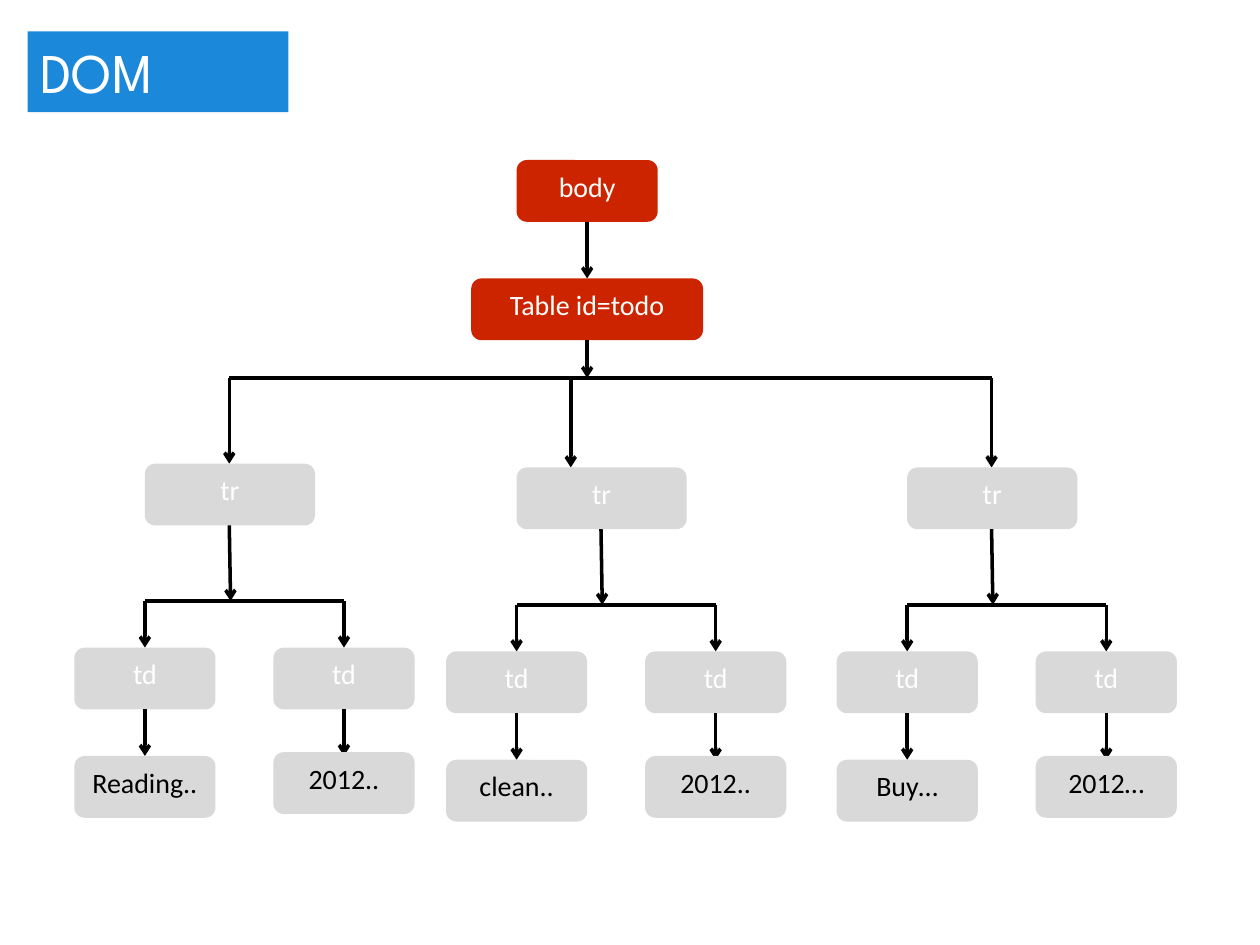
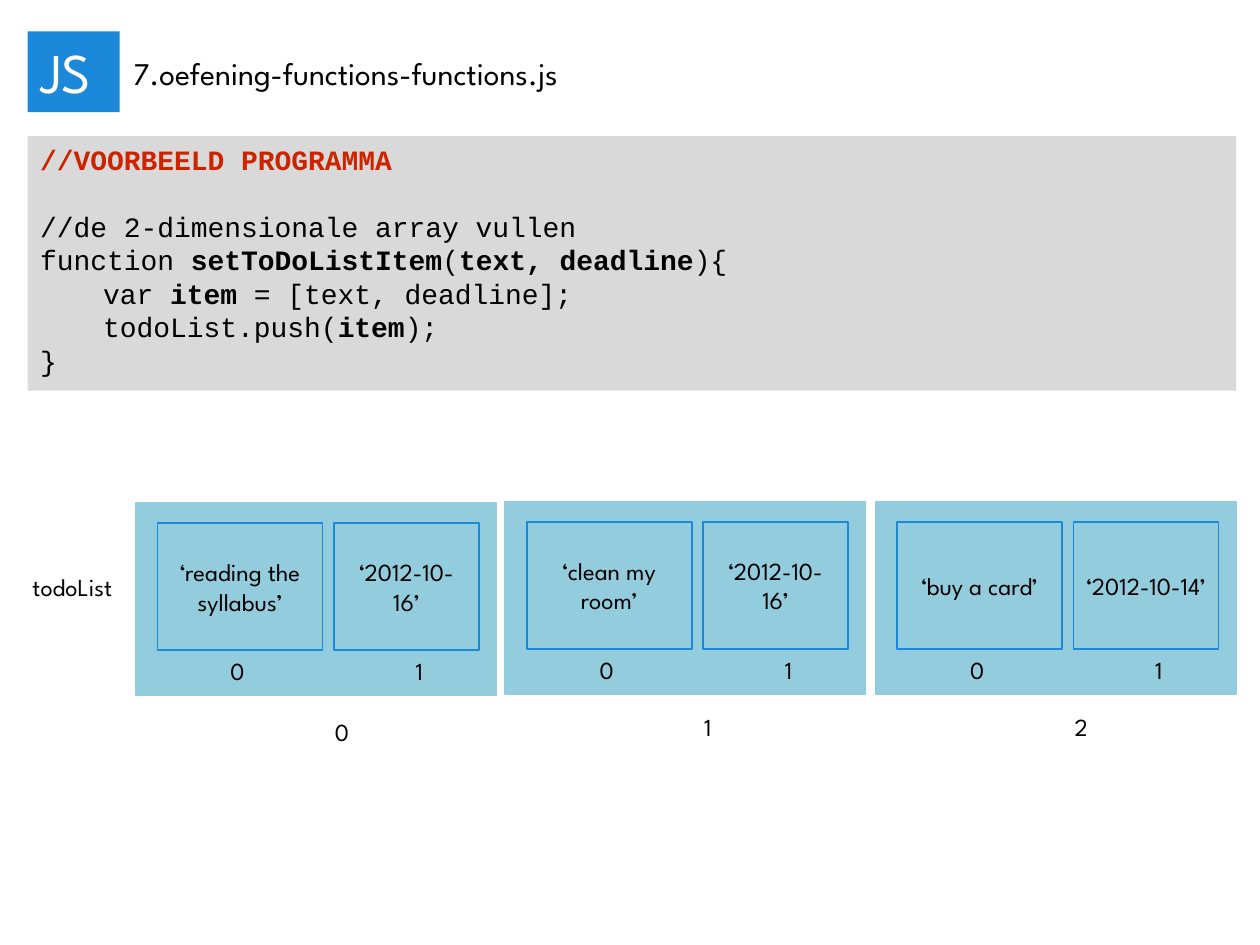
from dataclasses import dataclass

from lxml.etree import SubElement
from pptx import Presentation
from pptx.dml.color import RGBColor
from pptx.enum.shapes import MSO_CONNECTOR, MSO_SHAPE
from pptx.enum.text import MSO_ANCHOR, MSO_AUTO_SIZE, PP_ALIGN
from pptx.oxml.ns import qn
from pptx.shapes.autoshape import Shape
from pptx.slide import Slide
from pptx.util import Emu, Pt

RECT = MSO_SHAPE.RECTANGLE
ROUNDED = MSO_SHAPE.ROUNDED_RECTANGLE
STRAIGHT = MSO_CONNECTOR.STRAIGHT
TOP = MSO_ANCHOR.TOP
MIDDLE = MSO_ANCHOR.MIDDLE
LEFT = PP_ALIGN.LEFT
CENTER = PP_ALIGN.CENTER
GROW = MSO_AUTO_SIZE.SHAPE_TO_FIT_TEXT

EMU_PER_PX = 9144
HEADING_FONT = "League Spartan"
NODE_FONT = "Calibri"
CODE_FONT = "Courier New"
COLORS = {
    "accent": "1C88DA",
    "red": "CD2400",
    "gray": "D9D9D9",
    "aqua": "93CDDD",
    "white": "FFFFFF",
    "black": "000000",
}
NODE_HEIGHT = 49
CELL_WIDTH = 112
ROW_WIDTH = 135
TRUNK_Y = 300


@dataclass(frozen=True)
class TableRow:
    left: int
    top: int
    entry_x: int
    task: str
    deadline: str


@dataclass(frozen=True)
class TodoItem:
    top: int
    index_top: int
    task: str
    deadline: str


@dataclass(frozen=True)
class CodeLine:
    text: str
    color: str = "black"
    indent: int = 0
    space_before: int = 0


TABLE_ROWS = (
    TableRow(115, 368, 182, "Reading..", "2012.."),
    TableRow(410, 371, 453, "clean..", "2012.."),
    TableRow(720, 371, 787, "Buy…", "2012…"),
)
TODO_ITEMS = (
    TodoItem(399, 564, "‘reading the syllabus’", "‘2012-10-16’"),
    TodoItem(398, 560, "‘clean my room’", "‘2012-10-16’"),
    TodoItem(398, 560, "‘buy a card’", "‘2012-10-14’"),
)
CODE_LINES = (
    CodeLine("**//VOORBEELD PROGRAMMA**", color="red"),
    CodeLine("//de 2-dimensionale array vullen", space_before=19),
    CodeLine("function **setToDoListItem**(**text, deadline**){"),
    CodeLine("var **item** = [text, deadline];", indent=50),
    CodeLine("todoList.push(**item**);", indent=50),
    CodeLine("}"),
)


def px(length: int) -> Emu:
    return Emu(length * EMU_PER_PX)


def rgb(color: str) -> RGBColor:
    return RGBColor.from_string(COLORS[color])


def write(shape: Shape, text: str, *, size: int, font: str = HEADING_FONT,
          color: str = "black", align: PP_ALIGN = LEFT,
          anchor: MSO_ANCHOR = TOP, wrap: bool = True,
          indent: int = 0, space_before: int = 0) -> None:
    frame = shape.text_frame
    frame.word_wrap = wrap
    frame.vertical_anchor = anchor
    paragraph = frame.paragraphs[0]
    if paragraph.runs:
        paragraph = frame.add_paragraph()
    paragraph.alignment = align
    paragraph.space_before = Pt(space_before)
    if indent:
        paragraph._p.get_or_add_pPr().set("marL", str(px(indent)))
    for position, part in enumerate(text.split("**")):
        if part:
            run = paragraph.add_run()
            run.text = part
            run.font.name = font
            run.font.size = Pt(size)
            run.font.bold = position % 2 == 1
            run.font.color.rgb = rgb(color)


def draw_box(slide: Slide, left: int, top: int, width: int, height: int, *,
             fill: str = "", line: str = "", kind: MSO_SHAPE = RECT) -> Shape:
    box = slide.shapes.add_shape(kind, px(left), px(top), px(width), px(height))
    box.shadow.inherit = False
    if fill:
        box.fill.solid()
        box.fill.fore_color.rgb = rgb(fill)
    else:
        box.fill.background()
    if line:
        box.line.color.rgb = rgb(line)
        box.line.width = Pt(1)
    else:
        box.line.fill.background()
    return box


def draw_label(slide: Slide, left: int, top: int, width: int, height: int,
               text: str, size: int = 14) -> None:
    label = slide.shapes.add_textbox(px(left), px(top), px(width), px(height))
    write(label, text, size=size, wrap=False)
    label.text_frame.auto_size = GROW


def draw_title(slide: Slide, text: str, width: int) -> None:
    band = draw_box(slide, 22, 25, width, 64, fill="accent")
    write(band, text, size=32, color="white")


def draw_node(slide: Slide, left: int, top: int, width: int, text: str,
              fill: str = "gray", color: str = "white") -> None:
    node = draw_box(slide, left, top, width, NODE_HEIGHT, fill=fill, kind=ROUNDED)
    write(node, text, size=16, font=NODE_FONT, color=color, align=CENTER)


def draw_line(slide: Slide, x1: int, y1: int, x2: int, y2: int,
              arrow: bool = True) -> None:
    connector = slide.shapes.add_connector(STRAIGHT, px(x1), px(y1), px(x2), px(y2))
    connector.line.color.rgb = rgb("black")
    connector.line.width = Pt(2)
    properties = connector.element.spPr
    if arrow:
        SubElement(properties.find(qn("a:ln")), qn("a:tailEnd"), type="arrow")
    SubElement(properties, qn("a:effectLst"))


def draw_table_row(slide: Slide, row: TableRow) -> None:
    fork_y = row.top + 109
    cell_top = row.top + 146
    center = row.left + ROW_WIDTH // 2
    first_x, second_x = row.left, row.left + 158
    draw_line(slide, row.entry_x, TRUNK_Y, row.entry_x, row.top)
    draw_node(slide, row.left, row.top, ROW_WIDTH, "tr")
    draw_line(slide, center, row.top + NODE_HEIGHT, center + 1, fork_y)
    draw_line(slide, first_x, fork_y, second_x, fork_y, arrow=False)
    values = ((first_x, row.task, 232), (second_x, row.deadline, 229))
    for x, value, value_offset in values:
        cell_left = x - CELL_WIDTH // 2
        draw_line(slide, x, fork_y, x, cell_top)
        draw_node(slide, cell_left, cell_top, CELL_WIDTH, "td")
        draw_line(slide, x, cell_top + NODE_HEIGHT, x, row.top + 232)
        draw_node(slide, cell_left, row.top + value_offset, CELL_WIDTH, value,
                  color="black")


def draw_todo_item(slide: Slide, index: int, item: TodoItem) -> None:
    left = 108 + index * 587 // 2
    draw_box(slide, left, item.top, 286, 153, fill="aqua", line="aqua")
    draw_label(slide, left + 148, item.index_top, 31, 34, str(index))
    fields = ((17, 131, 65, item.task), (157, 115, 212, item.deadline))
    for position, (offset, width, index_offset, text) in enumerate(fields):
        field = draw_box(slide, left + offset, item.top + 16, width, 101,
                         line="accent")
        write(field, text, size=14, align=CENTER, anchor=MIDDLE)
        draw_label(slide, left + index_offset, item.top + 117, 31, 34,
                   str(position))


def build_dom_slide(slide: Slide) -> None:
    draw_title(slide, "DOM", 207)
    draw_node(slide, 374, 221, 184, "Table id=todo", fill="red")
    draw_node(slide, 410, 127, CELL_WIDTH, "body", fill="red")
    draw_line(slide, 466, 176, 466, 221)
    draw_line(slide, 466, 270, 466, TRUNK_Y)
    draw_line(slide, TABLE_ROWS[0].entry_x, TRUNK_Y,
              TABLE_ROWS[-1].entry_x, TRUNK_Y, arrow=False)
    for row in TABLE_ROWS:
        draw_table_row(slide, row)


def build_array_slide(slide: Slide) -> None:
    code = draw_box(slide, 22, 108, 959, 202, fill="gray")
    for line in CODE_LINES:
        write(code, line.text, size=16, font=CODE_FONT, color=line.color,
              indent=line.indent, space_before=line.space_before)
    draw_title(slide, "JS", 73)
    draw_label(slide, 96, 38, 411, 40, "7.oefening-functions-functions.js", size=18)
    draw_label(slide, 16, 449, 93, 34, "todoList")
    for index, item in enumerate(TODO_ITEMS):
        draw_todo_item(slide, index, item)


def main() -> None:
    deck = Presentation()
    deck.slide_width = px(1000)
    deck.slide_height = px(750)
    blank = deck.slide_layouts[6]
    for build in (build_dom_slide, build_array_slide):
        build(deck.slides.add_slide(blank))
    deck.save("out.pptx")


if __name__ == "__main__":
    main()
